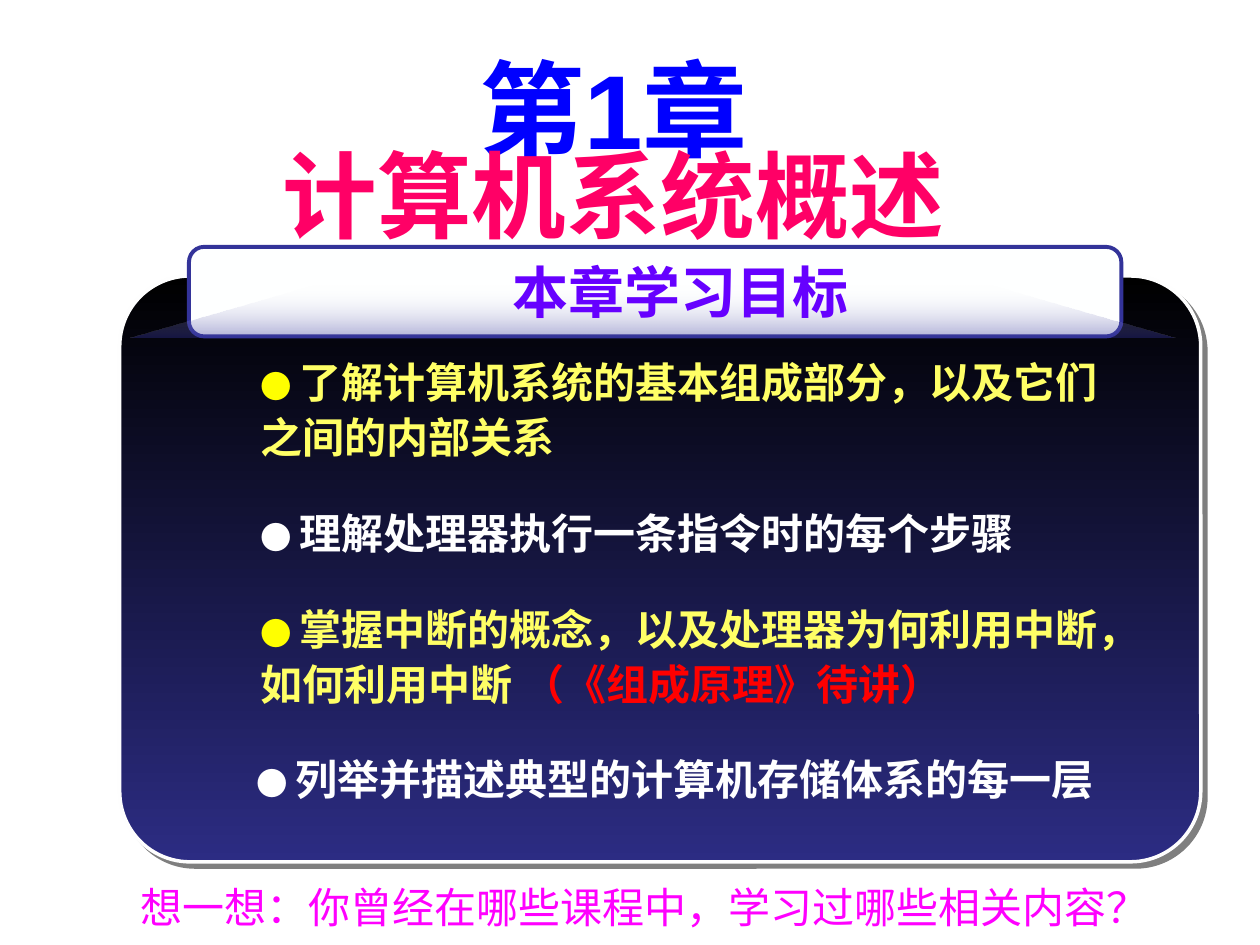
from dataclasses import dataclass
from typing import Optional

from lxml import etree
from pptx import Presentation
from pptx import util as u
from pptx.dml.color import RGBColor
from pptx.enum import shapes, text
from pptx.oxml.ns import qn

WIDTH, HEIGHT = u.Inches(10), u.Inches(7.5)


@dataclass(frozen=True)
class Theme:
    font: str = "Arial"
    cjk_font: str = "Noto Sans CJK SC"
    chapter: str = "0000FF"
    subject: str = "FF0066"
    heading: str = "6600FF"
    question: str = "FF00FF"
    yellow_dot: str = "FFFF00"
    yellow: str = "FFFF66"
    white: str = "FFFFFF"
    note: str = "FF0000"
    panel_top: str = "000000"
    panel_bottom: str = "2C2C83"
    panel_edge: str = "FEFEFE"
    tab: str = "FEFFFF"
    tab_edge: str = "333399"
    chapter_size: int = 60
    subject_size: int = 54
    heading_size: int = 32
    body_size: int = 24
    dot_size: int = 18


THEME = Theme()


@dataclass(frozen=True)
class Frame:
    """A rectangle in percent of the slide's width and height."""
    left: float
    top: float
    width: float
    height: float

    def emu(self) -> tuple:
        return (int(WIDTH * self.left / 100), int(HEIGHT * self.top / 100),
                int(WIDTH * self.width / 100), int(HEIGHT * self.height / 100))


@dataclass(frozen=True)
class Span:
    words: str
    size: int
    color: str
    bold: bool = True
    font: str = THEME.font


@dataclass(frozen=True)
class Goal:
    frame: Frame
    words: str
    dot_color: str
    color: str
    note: str = ""


@dataclass(frozen=True)
class Stop:
    color: str
    opacity: int = 100


GOALS = (
    Goal(Frame(19.7, 36.53, 70, 13.07), "了解计算机系统的基本组成部分，以及它们之间的内部关系",
         THEME.yellow_dot, THEME.yellow),
    Goal(Frame(19.7, 52.53, 70, 6.8), "理解处理器执行一条指令时的每个步骤",
         THEME.white, THEME.white),
    Goal(Frame(19.7, 62.67, 73.7, 13.2), "掌握中断的概念，以及处理器为何利用中断，如何利用中断 ",
         THEME.yellow_dot, THEME.yellow, "（《组成原理》待讲）"),
    Goal(Frame(19.4, 78.53, 70.6, 7.2), "列举并描述典型的计算机存储体系的每一层",
         THEME.white, THEME.white),
)


def write_para(para, spans: list, **formats) -> None:
    for name, value in formats.items():
        setattr(para, name, value)
    for item in spans:
        span = para.add_run()
        span.text = item.words
        look = {"name": item.font, "size": u.Pt(item.size), "bold": item.bold}
        for name, value in look.items():
            setattr(span.font, name, value)
        span.font.color.rgb = RGBColor.from_string(item.color)


def add_text(page, frame: Frame, spans: list, wrap: bool = True,
             anchor=text.MSO_ANCHOR.TOP, **formats) -> None:
    box = page.shapes.add_textbox(*frame.emu())
    box.text_frame.word_wrap = wrap
    box.text_frame.vertical_anchor = anchor
    write_para(box.text_frame.paragraphs[0], spans, **formats)


def fill_downward(shape, top: Stop, bottom: Stop) -> None:
    shape.fill.gradient()
    shape.fill.gradient_angle = 270
    for stop, wanted in zip(shape.fill.gradient_stops, (top, bottom)):
        stop.color.rgb = RGBColor.from_string(wanted.color)
    for color, wanted in zip(shape.element.spPr.iter(qn("a:srgbClr")), (top, bottom)):
        if wanted.opacity < 100:
            etree.SubElement(color, qn("a:alpha"), val=str(wanted.opacity * 1000))


def add_round_box(page, frame: Frame, corner: float, edge: str, edge_width: float,
                  fill: Optional[str] = None):
    shape = page.shapes.add_shape(shapes.MSO_SHAPE.ROUNDED_RECTANGLE, *frame.emu())
    shape.adjustments[0] = corner
    shape.shadow.inherit = False
    shape.line.color.rgb = RGBColor.from_string(edge)
    shape.line.width = u.Pt(edge_width)
    if fill:
        shape.fill.solid()
        shape.fill.fore_color.rgb = RGBColor.from_string(fill)
    return shape


def add_hard_shadow(shape, distance: float, opacity: int) -> None:
    effects = shape.element.spPr.find(qn("a:effectLst"))
    shadow = etree.SubElement(effects, qn("a:outerShdw"), blurRad="0",
                              dist=str(u.Pt(distance)), dir=str(45 * 60000),
                              algn="ctr", rotWithShape="0")
    color = etree.SubElement(shadow, qn("a:srgbClr"), val="000000")
    etree.SubElement(color, qn("a:alpha"), val=str(opacity * 1000))


def add_glow(page, frame: Frame, inset: float) -> None:
    """Draw the trapezoid that tints the foot of the heading tab."""
    left, top, width, height = frame.emu()
    slope = int(WIDTH * inset / 100)
    builder = page.shapes.build_freeform(left, top + height)
    builder.add_line_segments([(left + slope, top), (left + width - slope, top),
                               (left + width, top + height)], close=True)
    glow = builder.convert_to_shape()
    glow.shadow.inherit = False
    glow.line.fill.background()
    fill_downward(glow, Stop(THEME.white, 0), Stop(THEME.tab_edge, 40))


def set_title(page, frame: Frame) -> None:
    title = page.shapes.title
    title.left, title.top, title.width, title.height = frame.emu()
    body = title.text_frame
    formats = {"word_wrap": True, "auto_size": text.MSO_AUTO_SIZE.NONE,
               "vertical_anchor": text.MSO_ANCHOR.MIDDLE,
               "margin_top": 0, "margin_bottom": u.Inches(0.15)}
    for name, value in formats.items():
        setattr(body, name, value)
    lines = (Span("第1章", THEME.chapter_size, THEME.chapter),
             Span("计算机系统概述", THEME.subject_size, THEME.subject))
    for index, line in enumerate(lines):
        para = body.add_paragraph() if index else body.paragraphs[0]
        write_para(para, [line], alignment=text.PP_ALIGN.CENTER, line_spacing=0.71)


def add_goal(page, goal: Goal) -> None:
    spans = [Span("● ", THEME.dot_size, goal.dot_color),
             Span(goal.words, THEME.body_size, goal.color)]
    if goal.note:
        spans.append(Span(goal.note, THEME.body_size, THEME.note))
    add_text(page, goal.frame, spans, line_spacing=1.1)


def main() -> None:
    deck = Presentation()
    deck.slide_width, deck.slide_height = WIDTH, HEIGHT
    page = deck.slides.add_slide(deck.slide_layouts.get_by_name("Title Only"))
    set_title(page, Frame(6.2, 7.47, 85, 21.47))

    panel = add_round_box(page, Frame(9.5, 29.2, 85.8, 62), 0.12, THEME.panel_edge, 2)
    fill_downward(panel, Stop(THEME.panel_top), Stop(THEME.panel_bottom))
    add_hard_shadow(panel, 4.2, 50)
    add_round_box(page, Frame(15, 26.13, 74, 9.47), 0.17, THEME.tab_edge, 2.25, THEME.tab)
    add_glow(page, Frame(10.3, 30.27, 83.1, 5.47), 14.6)

    for goal in GOALS:
        add_goal(page, goal)
    add_text(page, Frame(28.5, 24.27, 51, 13.07),
             [Span("本章学习目标", THEME.heading_size, THEME.heading)],
             anchor=text.MSO_ANCHOR.MIDDLE, alignment=text.PP_ALIGN.CENTER)
    add_text(page, Frame(10.2, 92.67, 82, 6.67),
             [Span("想一想：你曾经在哪些课程中，学习过哪些相关内容？", THEME.body_size,
                   THEME.question, False, THEME.cjk_font)], wrap=False)
    deck.save("out.pptx")


if __name__ == "__main__":
    main()
